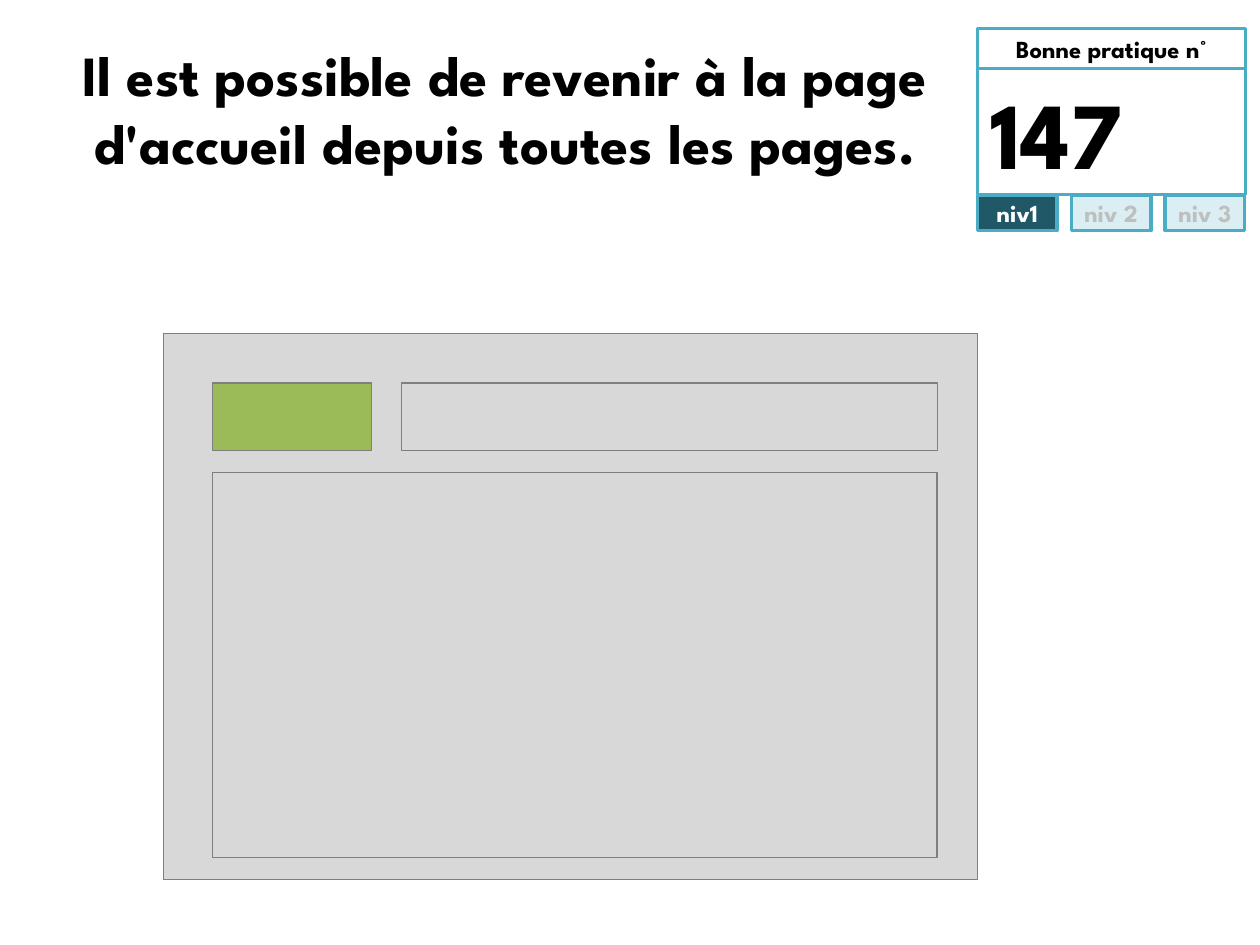
"""Slide for good practice 147: return to the home page from every page."""
from pptx import Presentation
from pptx.dml.color import RGBColor
from pptx.enum.shapes import MSO_SHAPE as SHAPE
from pptx.enum.text import MSO_ANCHOR as ANCHOR, PP_ALIGN as ALIGN
from pptx.util import Cm, Pt

COLORS = {
    "white": "FFFFFF", "black": "000000", "teal": "4BACC6", "dark": "205867",
    "pale": "DAEEF3", "muted": "BFBFBF", "panel": "D8D8D8", "edge": "7F7F7F",
    "green": "9BBB59",
}


def add_box(x, y, w, h, fill, line=None, weight=2):
    sp = s.shapes.add_shape(SHAPE.RECTANGLE, Cm(x), Cm(y), Cm(w), Cm(h))
    sp.shadow.inherit = False
    sp.fill.solid()
    sp.fill.fore_color.rgb = RGBColor.from_string(COLORS[fill])
    if line:
        sp.line.color.rgb = RGBColor.from_string(COLORS[line])
        sp.line.width = Pt(weight)
    else:
        sp.line.fill.background()
    return sp


def add_text(sp, text, size=14, color="black", align=ALIGN.CENTER, inset=None):
    tf = sp.text_frame
    tf.word_wrap = True
    tf.vertical_anchor = ANCHOR.MIDDLE
    if inset is not None:
        tf.margin_left = tf.margin_right = Cm(inset)
        tf.margin_top = tf.margin_bottom = Cm(inset)
    p = tf.paragraphs[0]
    p.alignment = align
    r = p.add_run()
    r.text = text
    r.font.name = "League Spartan"
    r.font.size = Pt(size)
    r.font.bold = True
    r.font.color.rgb = RGBColor.from_string(COLORS[color])


prs = Presentation()
prs.slide_width, prs.slide_height = Cm(25.4), Cm(19.05)
s = prs.slides.add_slide(prs.slide_layouts[6])

header = add_box(19.71, 0.58, 5.4, 0.8, "white", "teal")
add_text(header, "Bonne pratique n°")

levels = [("niv1", "dark", "white"), ("niv 2", "pale", "muted"), ("niv 3", "pale", "muted")]
for i, (label, fill, color) in enumerate(levels):
    level = add_box(19.71 + 1.89 * i, 3.94, 1.6, 0.71, fill, "teal")
    add_text(level, label, color=color, inset=0.1)

title = add_box(1.27, 0.58, 17.83, 3.18, "white")
add_text(title, "Il est possible de revenir à la page d'accueil depuis toutes les pages.", size=32.4)

number = add_box(19.71, 1.38, 5.4, 2.54, "white", "teal")
add_text(number, "147", size=54, align=ALIGN.LEFT)

wireframe = [
    (3.3, 6.73, 16.41, 11, "panel"),
    (4.29, 9.52, 14.6, 7.77, "panel"),
    (8.1, 7.72, 10.8, 1.37, "panel"),
    (4.29, 7.72, 3.2, 1.37, "green"),
]
for x, y, w, h, fill in wireframe:
    add_box(x, y, w, h, fill, "edge", weight=0.75)

prs.save("out.pptx")
